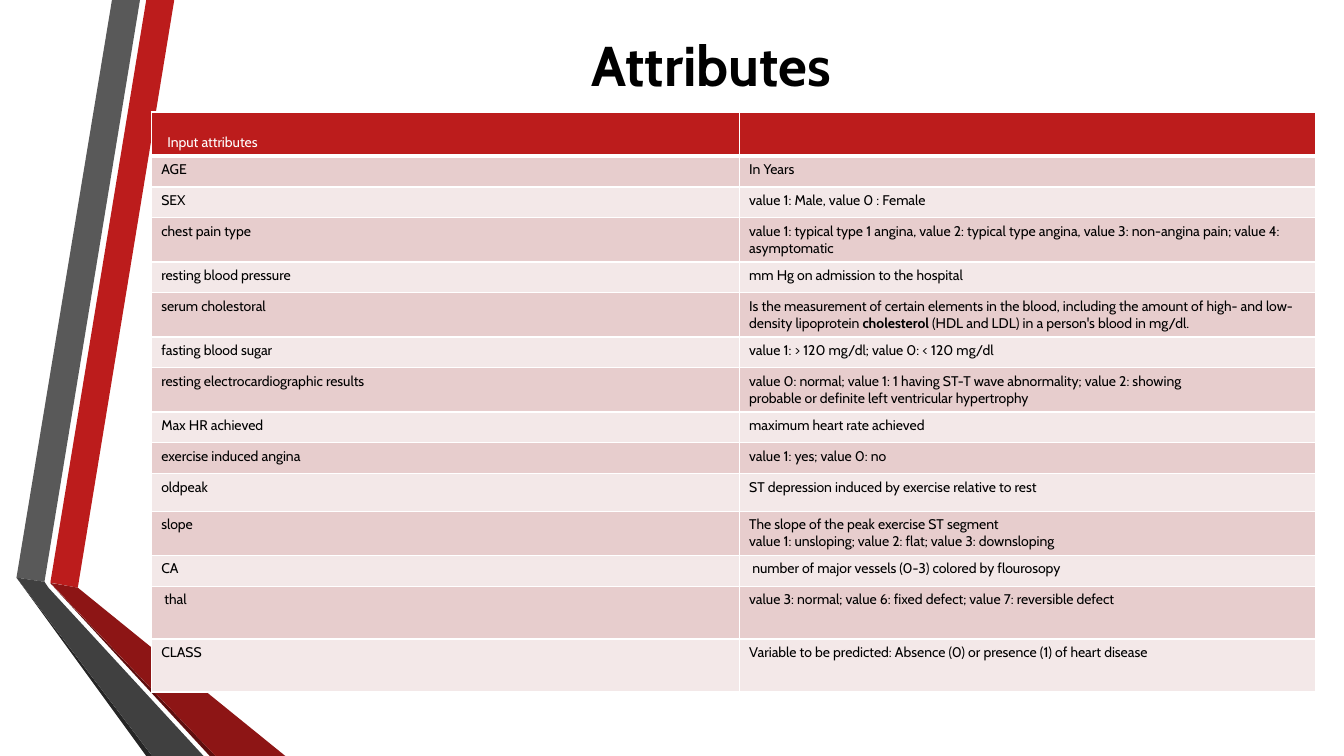
from lxml.etree import SubElement
from pptx import Presentation
from pptx.dml.color import RGBColor
from pptx.enum.text import MSO_ANCHOR, PP_ALIGN
from pptx.oxml.ns import qn
from pptx.util import Pt

FONT = "Cabin"
BLACK = RGBColor(0x00, 0x00, 0x00)
WHITE = RGBColor(0xFF, 0xFF, 0xFF)
RED = RGBColor(0xBC, 0x1C, 0x1C)
DARK_RED = RGBColor(0x8D, 0x15, 0x15)
DEEP_RED = RGBColor(0x5E, 0x0E, 0x0E)
GRAY = RGBColor(0x59, 0x59, 0x59)
DARK_GRAY = RGBColor(0x40, 0x40, 0x40)
DEEP_GRAY = RGBColor(0x26, 0x26, 0x26)
ROSE = RGBColor(0xE7, 0xCD, 0xCD)
PALE_ROSE = RGBColor(0xF3, 0xE8, 0xE8)


def add_span(para, text, size, color, bold=False):
    span = para.add_run()
    span.text = text
    span.font.name = FONT
    span.font.size = Pt(size)
    span.font.bold = bold
    span.font.color.rgb = color


def set_borders(cell, top, bottom):
    props = cell._tc.get_or_add_tcPr()
    widths = {"a:lnL": 1, "a:lnR": 1, "a:lnT": top, "a:lnB": bottom}
    for position, (tag, width) in enumerate(widths.items()):
        line = SubElement(props, qn(tag), w=str(Pt(width)))
        fill = SubElement(line, qn("a:solidFill"))
        SubElement(fill, qn("a:srgbClr"), val=str(WHITE))
        props.insert(position, line)


deck = Presentation()
deck.slide_width = Pt(960)
deck.slide_height = Pt(540)
page = deck.slides.add_slide(deck.slide_layouts[6])

# Folded ribbons on the left
ribbons = [
    (RED, [(36, 416.2), (55.6, 419.8), (124.5, 0), (104.5, 0)]),
    (GRAY, [(100, 0), (80, 0), (11.8, 412.6), (31.8, 415.6)]),
    (DEEP_GRAY, [(11.8, 412.6), (104.5, 540), (108.7, 540)]),
    (DEEP_RED, [(36, 416.7), (149.8, 540), (154, 540)]),
    (DARK_RED, [(36, 416.4), (154, 540), (203.8, 540), (55.6, 419.8)]),
    (DARK_GRAY, [(11.8, 412.6), (108.7, 540), (145.4, 540), (34.6, 419.8),
                 (31.8, 415.6)]),
]
for color, corners in ribbons:
    points = [(Pt(x), Pt(y)) for x, y in corners]
    builder = page.shapes.build_freeform(*points[0])
    builder.add_line_segments(points[1:], close=True)
    ribbon = builder.convert_to_shape()
    ribbon.shadow.inherit = False
    ribbon.fill.solid()
    ribbon.fill.fore_color.rgb = color
    ribbon.line.fill.background()

# Title
box = page.shapes.add_textbox(Pt(113.8), Pt(17.3), Pt(789), Pt(57.6))
box.text_frame.word_wrap = True
box.text_frame.vertical_anchor = MSO_ANCHOR.MIDDLE
para = box.text_frame.paragraphs[0]
para.alignment = PP_ALIGN.CENTER
add_span(para, "Attributes", 40, BLACK, bold=True)

# Table rows: height, attribute, paragraphs of the description
ONE_LINE, TWO_LINES, TALL = 22, 31.6, 37.8
rows = [
    (TWO_LINES, "Input attributes", []),
    (ONE_LINE, "AGE", ["In Years"]),
    (ONE_LINE, "SEX", ["value 1: Male, value 0 : Female"]),
    (TWO_LINES, "chest pain type",
     ["value 1: typical type 1 angina, value 2: typical type angina, "
      "value 3: non-angina pain; value 4:", "asymptomatic"]),
    (ONE_LINE, "resting blood pressure", ["mm Hg on admission to the hospital"]),
    (TWO_LINES, "serum cholestoral",
     ["Is the measurement of certain elements in the blood, including the amount "
      "of high- and low-density lipoprotein *cholesterol* (HDL and LDL) in a "
      "person's blood in mg/dl."]),
    (ONE_LINE, "fasting blood sugar", ["value 1: > 120 mg/dl; value 0: < 120 mg/dl"]),
    (TWO_LINES, "resting electrocardiographic results",
     ["value 0: normal; value 1: 1 having ST-T wave abnormality; value 2: showing",
      "probable or definite left ventricular hypertrophy"]),
    (ONE_LINE, "Max HR achieved", ["maximum heart rate achieved"]),
    (ONE_LINE, "exercise induced angina", ["value 1: yes; value 0: no"]),
    (26.8, "oldpeak", ["ST depression induced by exercise relative to rest"]),
    (TWO_LINES, "slope",
     ["The slope of the peak exercise ST segment",
      "value 1: unsloping; value 2: flat; value 3: downsloping"]),
    (ONE_LINE, "CA", ["number of major vessels (0-3) colored by flourosopy"]),
    (TALL, "thal",
     ["value 3: normal; value 6: fixed defect; value 7: reversible defect"]),
    (TALL, "CLASS",
     ["Variable to be predicted: Absence (0) or presence (1) of heart disease"]),
]
left_margins = {(0, 0): 11.6, (12, 1): 9.4, (13, 0): 9.4}

# Attribute table
frame = page.shapes.add_table(len(rows), 2, Pt(108), Pt(80), Pt(832),
                              Pt(sum(row[0] for row in rows)))
table = frame.table
table.columns[0].width = Pt(420)
table.columns[1].width = Pt(412)
for r, (height, attribute, description) in enumerate(rows):
    table.rows[r].height = Pt(height)
    for c, lines in enumerate([[attribute], description]):
        cell = table.cell(r, c)
        cell.margin_left = Pt(left_margins.get((r, c), 7.2))
        cell.vertical_anchor = MSO_ANCHOR.TOP if r else MSO_ANCHOR.BOTTOM
        cell.fill.solid()
        cell.fill.fore_color.rgb = (ROSE if r % 2 else PALE_ROSE) if r else RED
        set_borders(cell, top=3 if r == 1 else 1, bottom=1 if r else 3)
        for n, line in enumerate(lines):
            text = cell.text_frame
            para = text.add_paragraph() if n else text.paragraphs[0]
            # Asterisks enclose bold words
            for k, part in enumerate(line.split("*")):
                add_span(para, part, 10, BLACK if r else WHITE, bold=k % 2 == 1)

deck.save("out.pptx")
